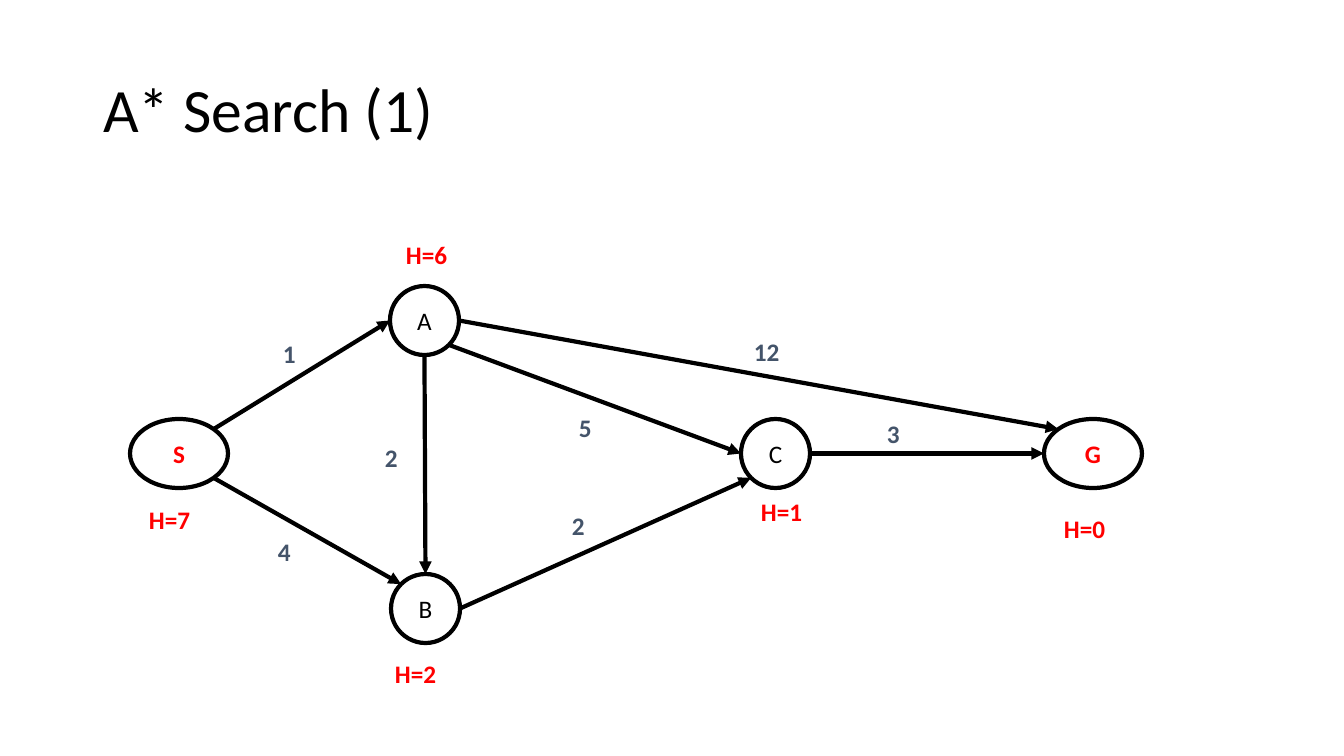
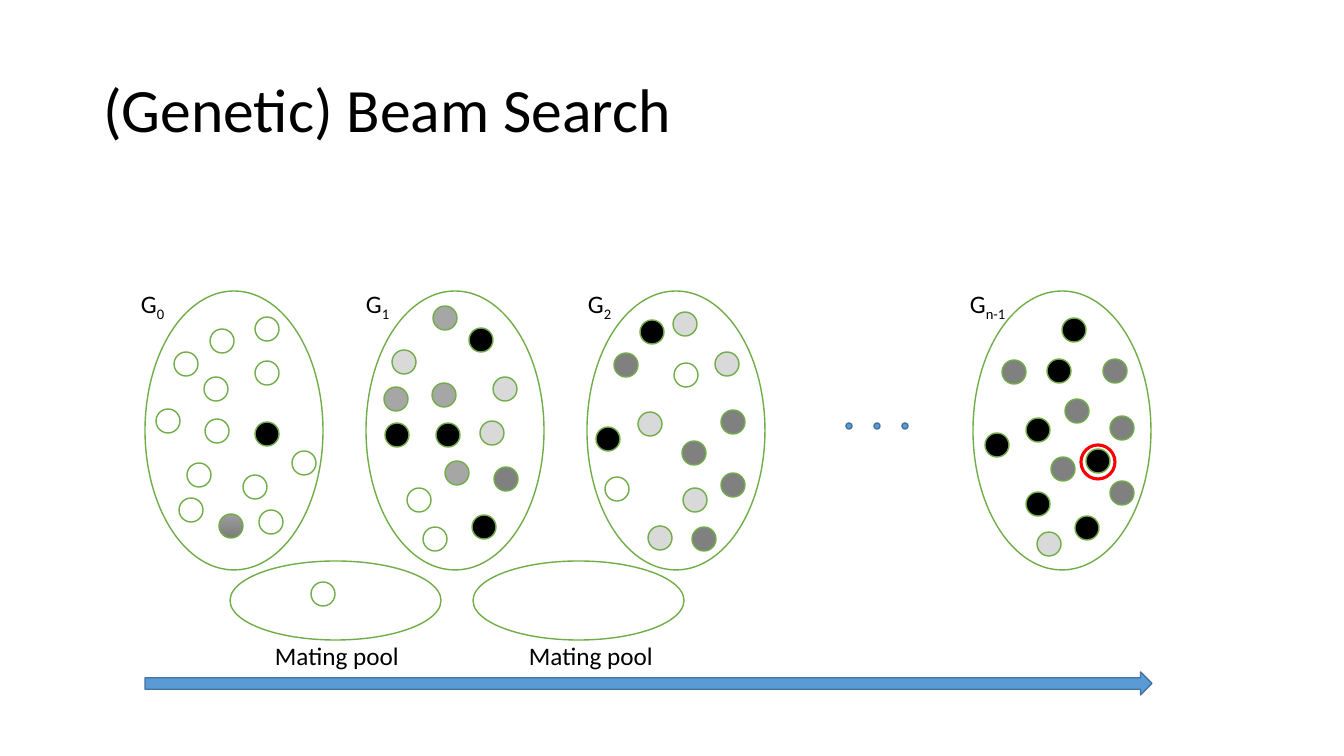
import dataclasses
import math

import lxml.etree
import pptx
import pptx.dml.color
import pptx.enum.shapes
import pptx.enum.text
import pptx.oxml.ns
import pptx.util

SHAPE = pptx.enum.shapes.MSO_SHAPE
ALIGN = pptx.enum.text.PP_ALIGN
ANCHOR = pptx.enum.text.MSO_ANCHOR
AUTO_SIZE = pptx.enum.text.MSO_AUTO_SIZE
qn = pptx.oxml.ns.qn
EMU_PER_PIXEL = 914400 / 100.8


@dataclasses.dataclass(frozen=True)
class Theme:
    """Colours, type sizes, line widths and shared boxes of the deck."""
    font: str = "Calibri"
    title_size: int = 44
    body_size: int = 18
    ink: str = "000000"
    paper: str = "FFFFFF"
    accent: str = "FF0000"
    weight: str = "44546A"
    membrane: str = "70AD47"
    timeline: str = "5B9BD5"
    timeline_edge: str = "43739E"
    light: str = "D9D9D9"
    medium: str = "A6A6A6"
    dark: str = "808080"
    blend: tuple = ("9D9D9D", "7C7C7C")
    graph_line: float = 3
    thin_line: float = 1
    ring_line: float = 2.25
    slide_size: tuple = (1344, 756)
    title_box: tuple = (93, 40, 1159, 146)
    label_height: int = 40


THEME = Theme()

NODES = {
    "S": (0, 185, 98), "A": (260, 52, 69), "B": (261, 340, 69),
    "C": (611, 185, 69), "G": (914, 185, 98),
}
TERMINALS = "SG"
NODE_HEIGHT = 69
HEURISTICS = {
    "S": ("H=7", 9, 80, 86), "A": ("H=6", 6, -52, 67), "B": ("H=2", -6, 79, 81),
    "C": ("H=1", 10, 72, 67), "G": ("H=0", 10, 89, 79),
}
TOP, TOP_LEFT, LEFT, BOTTOM_LEFT, BOTTOM, BOTTOM_RIGHT, RIGHT, TOP_RIGHT = range(8)
EDGES = [
    ("S", TOP_RIGHT, "A", LEFT, "1", 143, 99),
    ("S", BOTTOM_RIGHT, "B", TOP_LEFT, "4", 138, 297),
    ("B", RIGHT, "C", BOTTOM_LEFT, "2", 432, 271),
    ("A", RIGHT, "G", TOP_LEFT, "12", 614, 97),
    ("A", BOTTOM, "B", TOP, "2", 245, 203),
    ("C", RIGHT, "G", LEFT, "3", 747, 179),
    ("A", BOTTOM_RIGHT, "C", LEFT, "5", 439, 173),
]

GENERATION_SIZE = (178, 279)
POOL_SIZE = (211, 79)
INDIVIDUAL = 24
GENERATIONS = [
    ("0", 0, -14, 45, {
        THEME.paper: [(65, 38), (110, 70), (60, 128), (59, 86), (98, 184), (42, 172),
                      (147, 160), (29, 61), (114, 219), (110, 26), (11, 118), (34, 207)],
        THEME.blend: [(74, 223)],
        THEME.ink: [(110, 131)]}),
    ("1", 221, -10, 45, {
        THEME.ink: [(70, 132), (103, 37), (106, 224), (19, 132)],
        THEME.medium: [(18, 96), (67, 15), (66, 92), (79, 170)],
        THEME.light: [(127, 86), (114, 130), (26, 59)],
        THEME.paper: [(41, 197), (57, 236)],
        THEME.dark: [(128, 176)]}),
    ("2", 442, -9, 45, {
        THEME.light: [(86, 21), (51, 121), (96, 197), (128, 61), (61, 235)],
        THEME.dark: [(27, 62), (134, 119), (95, 150), (134, 182), (105, 236)],
        THEME.ink: [(53, 29), (9, 136)],
        THEME.paper: [(18, 186), (87, 72)]}),
    ("n-1", 828, -13, 59, {
        THEME.ink: [(89, 27), (74, 68), (53, 127), (102, 225), (113, 158),
                    (53, 201), (12, 142)],
        THEME.dark: [(29, 69), (137, 125), (78, 166), (137, 190), (130, 68), (92, 108)],
        THEME.light: [(64, 241)]}),
]
POOLS = [(85, 35, [(81, 21)]), (328, 46, [])]


def px(length):
    """Turn pixels into EMU."""
    return pptx.util.Emu(round(length * EMU_PER_PIXEL))


def rgb(colour):
    """Turn a hex string into a colour."""
    return pptx.dml.color.RGBColor.from_string(colour)


def write(frame, text, size=THEME.body_size, colour=THEME.ink, bold=False,
          subscript="", align=ALIGN.LEFT, spacing=None):
    """Write one formatted paragraph, with an optional subscript."""
    paragraph = frame.paragraphs[0]
    paragraph.alignment = align
    if spacing:
        paragraph.line_spacing = spacing
    for part in filter(None, (text, subscript)):
        run = paragraph.add_run()
        run.text = part
        run.font.name = THEME.font
        run.font.size = pptx.util.Pt(size)
        run.font.bold = bold
        run.font.color.rgb = rgb(colour)
    if subscript:
        run.font._element.set("baseline", "-25000")


def add_label(slide, box, text, wrap=True, **style):
    """Add a text box that grows with its text."""
    label = slide.shapes.add_textbox(*map(px, box))
    label.text_frame.word_wrap = wrap
    label.text_frame.auto_size = AUTO_SIZE.SHAPE_TO_FIT_TEXT
    write(label.text_frame, text, **style)


def add_figure(shapes, box, fill, line, width=THEME.thin_line, preset=SHAPE.OVAL):
    """Add a preset shape with a plain, blended or missing fill."""
    figure = shapes.add_shape(preset, *map(px, box))
    figure.shadow.inherit = False
    if fill is None:
        figure.fill.background()
    elif isinstance(fill, tuple):
        figure.fill.gradient()
        figure.fill.gradient_angle = 270
        for stop, colour in zip(figure.fill.gradient_stops, fill):
            stop.color.rgb = rgb(colour)
    else:
        figure.fill.solid()
        figure.fill.fore_color.rgb = rgb(fill)
    figure.line.color.rgb = rgb(line)
    figure.line.width = pptx.util.Pt(width)
    return figure


def add_titled_slide(deck, title):
    """Add a title-only slide with the shared title style."""
    slide = deck.slides.add_slide(deck.slide_layouts[5])
    heading = slide.shapes.title
    heading.left, heading.top, heading.width, heading.height = map(px, THEME.title_box)
    heading.text_frame.vertical_anchor = ANCHOR.MIDDLE
    heading.text_frame.auto_size = AUTO_SIZE.NONE
    write(heading.text_frame, title, size=THEME.title_size, spacing=0.9)
    return slide


def site_point(node, site):
    """Return the point of one of the eight connection sites of an ellipse."""
    angle = math.radians(90 + 45 * site)
    x = node.left + node.width / 2 * (1 + math.cos(angle))
    y = node.top + node.height / 2 * (1 - math.sin(angle))
    return round(x), round(y)


def add_edge(slide, source, source_site, target, target_site):
    """Join two nodes with a glued arrow."""
    edge = slide.shapes.add_connector(pptx.enum.shapes.MSO_CONNECTOR.STRAIGHT, 0, 0, 0, 0)
    edge.begin_connect(source, 0)
    edge.end_connect(target, 0)
    for tag, site in (("a:stCxn", source_site), ("a:endCxn", target_site)):
        next(edge.element.iter(qn(tag))).set("idx", str(site))
    edge.begin_x, edge.begin_y = site_point(source, source_site)
    edge.end_x, edge.end_y = site_point(target, target_site)
    edge.line.color.rgb = rgb(THEME.ink)
    edge.line.width = pptx.util.Pt(THEME.graph_line)
    properties = edge.element.spPr
    lxml.etree.SubElement(properties.find(qn("a:ln")), qn("a:tailEnd"), type="triangle")
    lxml.etree.SubElement(properties, qn("a:effectLst"))


def add_search_graph(slide, left, top):
    """Draw the weighted graph with its heuristic values."""
    nodes = {}
    for name, (x, y, width) in NODES.items():
        terminal = name in TERMINALS
        node = add_figure(slide.shapes, (left + x, top + y, width, NODE_HEIGHT),
                          THEME.paper, THEME.ink, THEME.graph_line)
        node.text_frame.vertical_anchor = ANCHOR.MIDDLE
        write(node.text_frame, name, bold=terminal, align=ALIGN.CENTER,
              colour=THEME.accent if terminal else THEME.ink)
        nodes[name] = node
        value, dx, dy, value_width = HEURISTICS[name]
        add_label(slide, (left + x + dx, top + y + dy, value_width, THEME.label_height),
                  value, colour=THEME.accent, bold=True)
    for source, source_site, target, target_site, weight, x, y in EDGES:
        add_edge(slide, nodes[source], source_site, nodes[target], target_site)
        add_label(slide, (left + x, top + y, 58, THEME.label_height), weight,
                  colour=THEME.weight, bold=True)


def add_individuals(shapes, left, top, places, fill):
    """Place individuals of one fitness shade."""
    for x, y in places:
        add_figure(shapes, (left + x, top + y, INDIVIDUAL, INDIVIDUAL), fill, THEME.membrane)


def add_generation(slide, left, top, index, label_dx, label_width, population):
    """Draw one generation as a group, with its label."""
    members = slide.shapes.add_group_shape().shapes
    add_figure(members, (left, top, *GENERATION_SIZE), THEME.paper, THEME.membrane)
    for shade, places in population.items():
        add_individuals(members, left, top, places, shade)
    add_label(slide, (left + label_dx, top - 8, label_width, THEME.label_height),
              "G", wrap=False, subscript=index)


def add_pool(slide, left, top, label_dx, places):
    """Draw one mating pool with its label."""
    add_figure(slide.shapes, (left, top, *POOL_SIZE), THEME.paper, THEME.membrane)
    add_individuals(slide.shapes, left, top, places, THEME.paper)
    add_label(slide, (left + label_dx, top + 74, 146, THEME.label_height),
              "Mating pool", wrap=False)


def add_evolution(slide, left, top):
    """Draw the generations, the mating pools and the timeline."""
    for x, label_dx, places in POOLS:
        add_pool(slide, left + x, top + 270, label_dx, places)
    for index, x, label_dx, label_width, population in GENERATIONS:
        add_generation(slide, left + x, top, index, label_dx, label_width, population)
    add_figure(slide.shapes, (left + 936, top + 154, 34, 34), None,
               THEME.accent, THEME.ring_line)
    for step in range(3):
        add_figure(slide.shapes, (left + 701 + 28 * step, top + 132, 6, 6),
                   THEME.timeline, THEME.timeline_edge)
    add_figure(slide.shapes, (left, top + 381, 1007, 23), THEME.timeline,
               THEME.timeline_edge, preset=SHAPE.RIGHT_ARROW)


def main():
    """Build and save the deck."""
    deck = pptx.Presentation()
    deck.slide_width, deck.slide_height = map(px, THEME.slide_size)
    add_search_graph(add_titled_slide(deck, "A* Search (1)"), 130, 234)
    add_evolution(add_titled_slide(deck, "(Genetic) Beam Search"), 145, 291)
    deck.save("out.pptx")


main()
